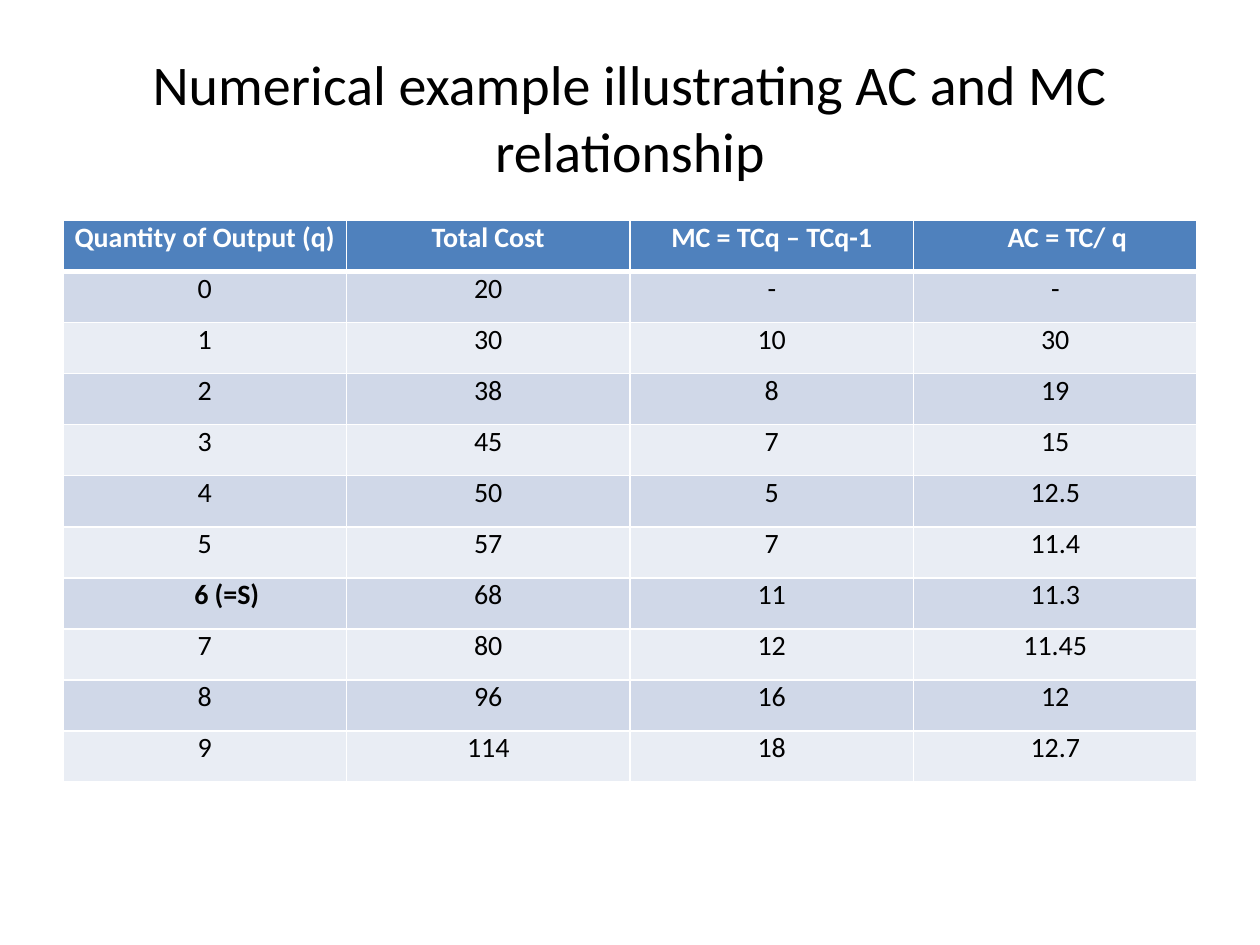
"""Build a slide with a cost table comparing average and marginal cost."""
from lxml.etree import SubElement
from pptx import Presentation
from pptx.dml.color import RGBColor
from pptx.enum.text import MSO_ANCHOR, PP_ALIGN
from pptx.oxml.ns import qn
from pptx.util import Inches, Pt

COLORS = {
    "text": "000000",
    "white": "FFFFFF",
    "header": "4F81BD",
    "odd_band": "D0D8E8",
    "even_band": "E9EDF4",
}
FONT = "Calibri"
SLIDE_WIDTH, SLIDE_HEIGHT = Inches(10), Inches(7.5)
MARGIN = SLIDE_WIDTH // 20
CONTENT_WIDTH = SLIDE_WIDTH - 2 * MARGIN
TABLE_HEIGHT = Inches(4.46)

TITLE = "Numerical example illustrating AC and MC relationship"
COST_ROWS = [
    ("Quantity of Output (q)", "Total Cost", "MC = TCq – TCq-1", "AC = TC/ q"),
    ("0", "20", "-", "-"),
    ("1", "30", "10", "30"),
    ("2", "38", "8", "19"),
    ("3", "45", "7", "15"),
    ("4", "50", "5", "12.5"),
    ("5", "57", "7", "11.4"),
    ("6 (=S)", "68", "11", "11.3"),
    ("7", "80", "12", "11.45"),
    ("8", "96", "16", "12"),
    ("9", "114", "18", "12.7"),
]
OPTIMUM = "6 (=S)"
FIRST_LINE_INDENTS = {"AC = TC/ q": 0.19, OPTIMUM: 0.35}


def write_text(text_frame, text, size, color="text", bold=False, indent=0):
    text_frame.text = text
    paragraph = text_frame.paragraphs[0]
    paragraph.alignment = PP_ALIGN.CENTER
    if indent:
        properties = paragraph._p.get_or_add_pPr()
        properties.set("marL", "0")
        properties.set("indent", str(Inches(indent)))
    font = paragraph.runs[0].font
    font.name, font.size, font.bold = FONT, Pt(size), bold
    font.color.rgb = RGBColor.from_string(COLORS[color])


def set_borders(cell, bottom_width=1):
    properties = cell._tc.get_or_add_tcPr()
    widths = {"a:lnL": 1, "a:lnR": 1, "a:lnT": 1, "a:lnB": bottom_width}
    for tag, width in widths.items():
        line = SubElement(properties, qn(tag), w=str(Pt(width)))
        fill = SubElement(line, qn("a:solidFill"))
        SubElement(fill, qn("a:srgbClr"), val=COLORS["white"])


def format_cell(cell, text, fill, **text_format):
    cell.margin_left = cell.margin_right = Inches(0.07)
    cell.margin_top = cell.margin_bottom = 0
    set_borders(cell, bottom_width=3 if fill == "header" else 1)
    cell.fill.solid()
    cell.fill.fore_color.rgb = RGBColor.from_string(COLORS[fill])
    write_text(cell.text_frame, text, 16, **text_format)


def add_title(slide, text):
    title = slide.shapes.title
    title.left, title.top = MARGIN, int(SLIDE_HEIGHT * 0.04)
    title.width, title.height = CONTENT_WIDTH, SLIDE_HEIGHT // 6
    title.text_frame.word_wrap = True
    title.text_frame.vertical_anchor = MSO_ANCHOR.MIDDLE
    write_text(title.text_frame, text, 32)


def add_cost_table(slide, rows):
    table = slide.shapes.add_table(
        len(rows), len(rows[0]), MARGIN, Inches(1.75), CONTENT_WIDTH, TABLE_HEIGHT
    ).table
    for row_index, values in enumerate(rows):
        is_header = row_index == 0
        band = "odd_band" if row_index % 2 else "even_band"
        for column_index, value in enumerate(values):
            format_cell(
                table.cell(row_index, column_index),
                value,
                fill="header" if is_header else band,
                color="white" if is_header else "text",
                bold=is_header or value == OPTIMUM,
                indent=FIRST_LINE_INDENTS.get(value, 0),
            )


def main():
    presentation = Presentation()
    presentation.slide_width, presentation.slide_height = SLIDE_WIDTH, SLIDE_HEIGHT
    slide = presentation.slides.add_slide(presentation.slide_layouts[5])
    add_title(slide, TITLE)
    add_cost_table(slide, COST_ROWS)
    presentation.save("out.pptx")


main()
